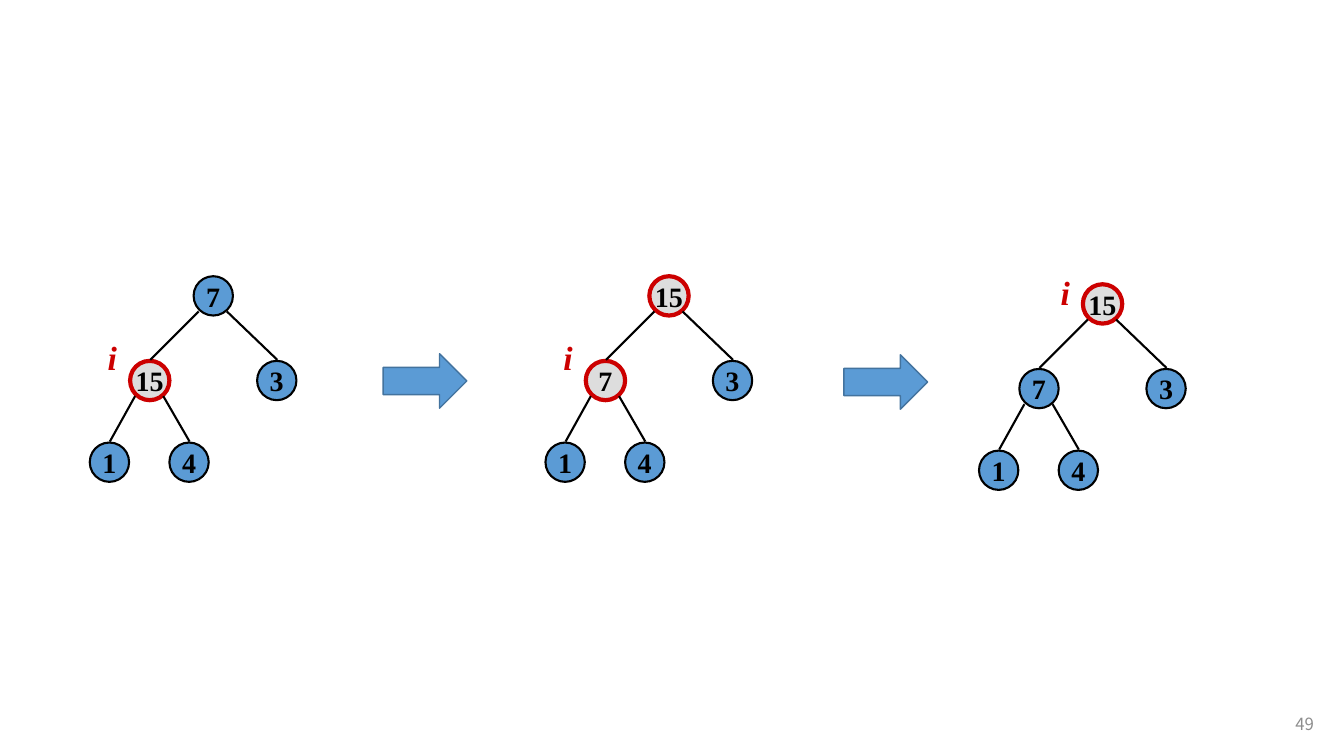
from pptx import Presentation
from pptx.dml.color import RGBColor
from pptx.enum.shapes import MSO_CONNECTOR, MSO_SHAPE
from pptx.enum.text import MSO_ANCHOR, PP_ALIGN
from pptx.oxml.ns import qn
from pptx.util import Pt
from lxml.etree import SubElement

PX = 9144
BLUE = RGBColor(0x5B, 0x9B, 0xD5)
NAVY = RGBColor(0x43, 0x73, 0x9E)
BLACK = RGBColor(0, 0, 0)
RED = RGBColor(0xCC, 0, 0)
PALE = RGBColor(0xDD, 0xDD, 0xDD)
GRAY = RGBColor(0x8C, 0x8C, 0x8C)
SERIF = "Times New Roman"
SIZE = 39

deck = Presentation()
deck.slide_width, deck.slide_height = 1333 * PX, 750 * PX
slide = deck.slides.add_slide(deck.slide_layouts[6])
shapes = slide.shapes


def write(shape, text, size=20, color=BLACK, font=SERIF, bold=True, italic=False,
          align=PP_ALIGN.CENTER, anchor=MSO_ANCHOR.MIDDLE, wrap=False):
    frame = shape.text_frame
    frame.word_wrap = wrap
    frame.vertical_anchor = anchor
    para = frame.paragraphs[0]
    para.alignment = align
    run = para.add_run()
    run.text = text
    face = run.font
    face.name, face.size, face.bold, face.italic = font, Pt(size), bold, italic
    face.color.rgb = color
    for tag in ("a:ea", "a:cs"):
        SubElement(run._r.get_or_add_rPr(), qn(tag)).set("typeface", font)


def draw(kind, x, y, w, h, fill, line, width):
    shape = shapes.add_shape(kind, x * PX, y * PX, w * PX, h * PX)
    shape.shadow.inherit = False
    shape.fill.solid()
    shape.fill.fore_color.rgb = fill
    shape.line.color.rgb = line
    shape.line.width = Pt(width)
    return shape


spots = [(103, 0), (40, 84), (166, 84), (0, 165), (79, 165)]
edges = [(0, 1), (0, 2), (1, 3), (1, 4)]
trees = [
    (89, 274, ["7", "15", "3", "1", "4"], {1}, (8, 55)),
    (541, 274, ["15", "7", "3", "1", "4"], {0, 1}, (8, 55)),
    (971, 282, ["15", "7", "3", "1", "4"], {0}, (71, -17)),
]

for left, top, keys, marked, (dx, dy) in trees:
    nodes = [(left + x, top + y) for x, y in spots]
    for index, (key, (x, y)) in enumerate(zip(keys, nodes)):
        style = (PALE, RED, 3) if index in marked else (BLUE, BLACK, 1.5)
        write(draw(MSO_SHAPE.OVAL, x, y, SIZE, SIZE, *style), key)
    for parent, child in edges:
        (px, py), (cx, cy) = nodes[parent], nodes[child]
        start = px + (5 if cx < px else 33)
        edge = shapes.add_connector(MSO_CONNECTOR.STRAIGHT, start * PX, (py + 35) * PX,
                                    (cx + 20) * PX, (cy - 1) * PX)
        edge.line.color.rgb = BLACK
        edge.line.width = Pt(1.5)
        SubElement(edge._element.spPr, qn("a:effectLst"))
    label = shapes.add_textbox((left + dx) * PX, (top + dy) * PX, 29 * PX, 50 * PX)
    write(label, "i", size=24, color=RED, italic=True,
          align=PP_ALIGN.LEFT, anchor=MSO_ANCHOR.TOP)

for x, y in [(380, 351), (837, 352)]:
    draw(MSO_SHAPE.RIGHT_ARROW, x, y, 83, 54, BLUE, NAVY, 1)

number = shapes.add_textbox(1253 * PX, 698 * PX, 60 * PX, 40 * PX)
write(number, "49", size=12, color=GRAY, font="Noto Sans CJK SC", bold=False,
      align=PP_ALIGN.RIGHT, wrap=True)

deck.save("out.pptx")
